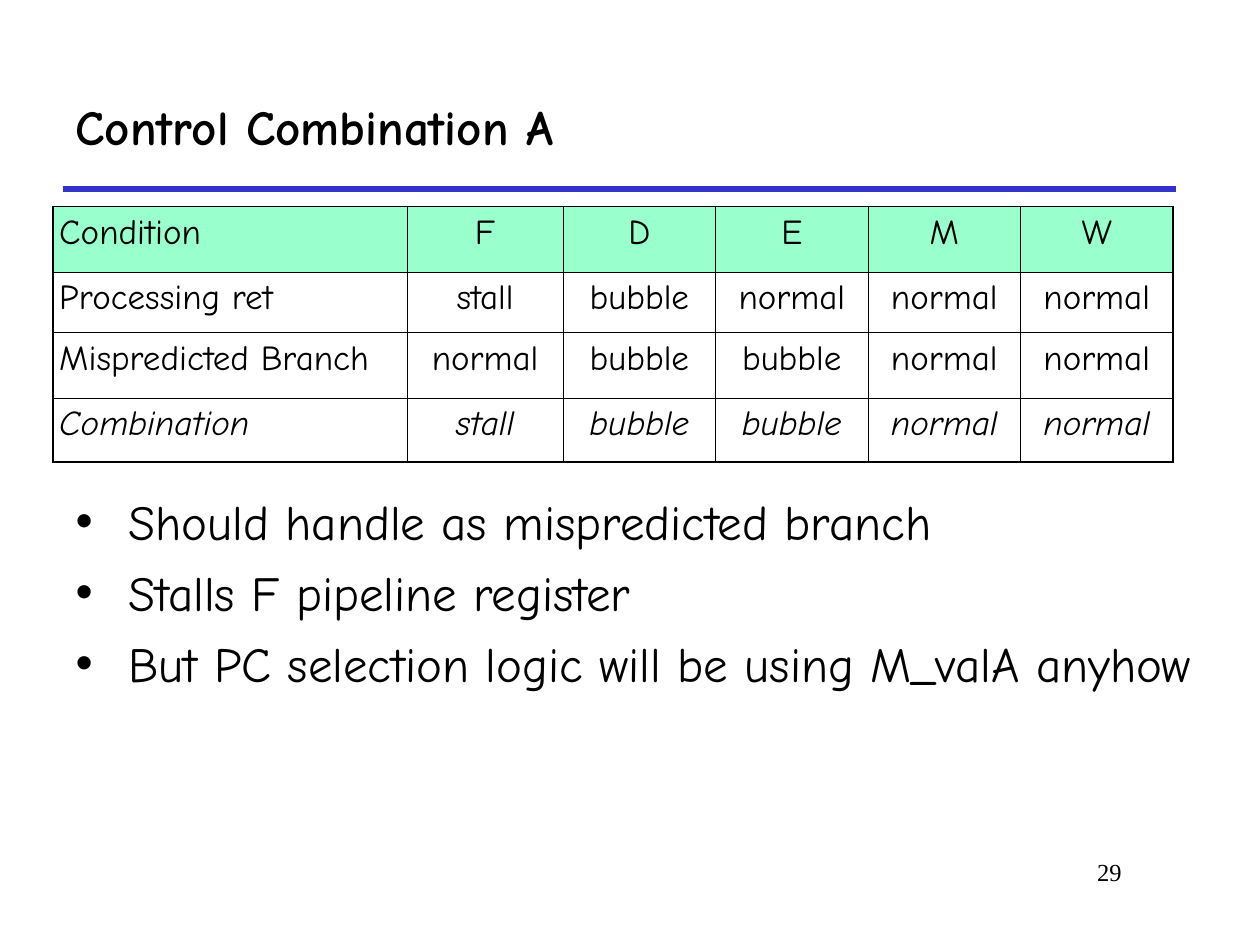
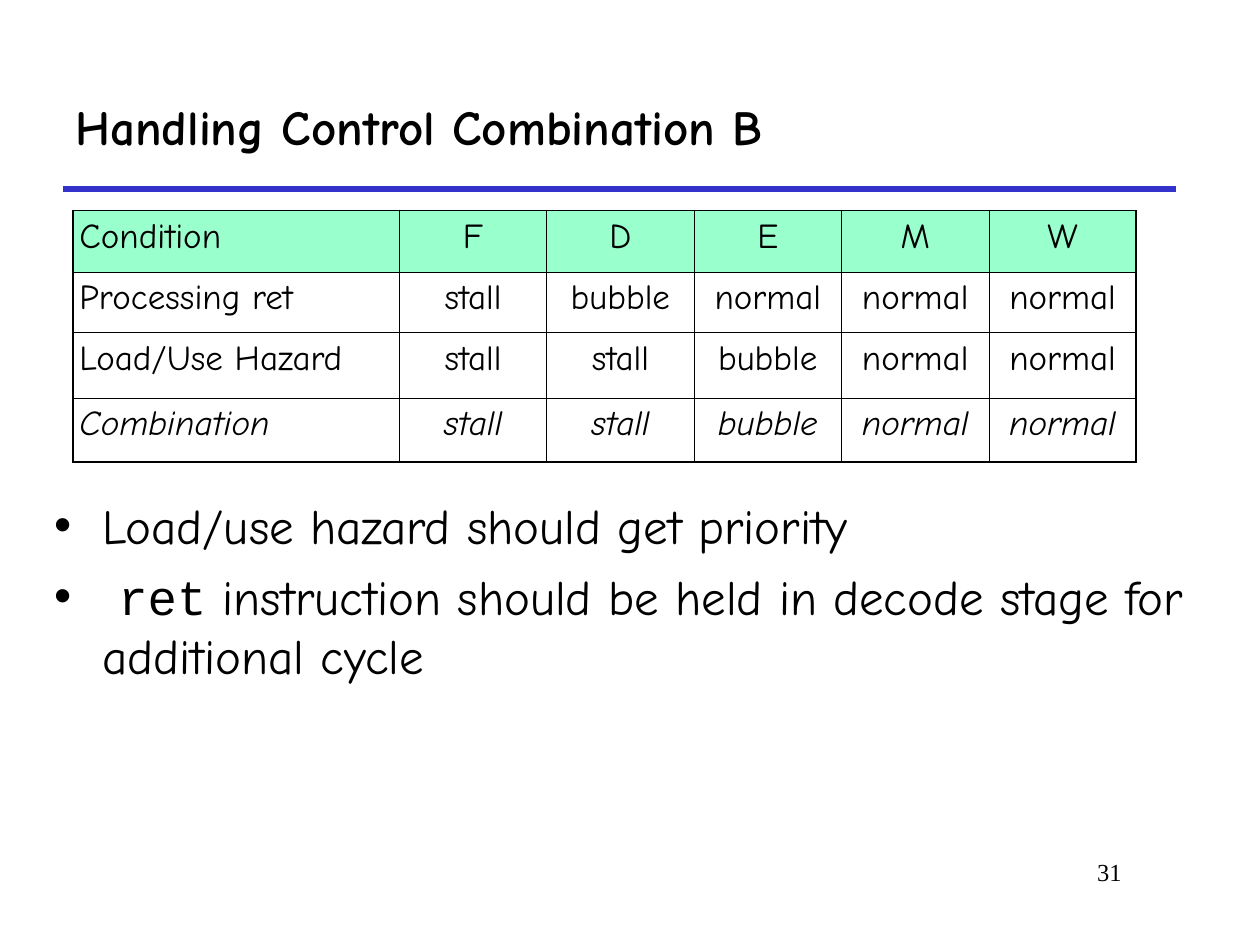
from lxml.etree import SubElement
from pptx import Presentation
from pptx.dml.color import RGBColor
from pptx.enum.shapes import MSO_CONNECTOR
from pptx.enum.text import MSO_ANCHOR, MSO_AUTO_SIZE, PP_ALIGN
from pptx.oxml.ns import qn
from pptx.util import Inches, Pt

BLACK, RULE_BLUE, HEADER_GREEN = "000000", "3333CC", "99FFCC"
TEXT_FONT, CODE_FONT, NUMBER_FONT = "Comic Neue", "Courier New", "Times New Roman"
OUTER_BORDER, INNER_BORDER = 1.08, 0.45
TITLE_BOX = (0.5, 0.5, 8.83, 1)
NUMBER_BOX = (7.58, 6.75, 1.42, 0.5)
RULE_LEFT, RULE_RIGHT, RULE_TOP = 0.5, 9.33, 1.5

HEADER = ["Condition", "F", "D", "E", "M", "W"]
PROCESSING_RET = ["Processing ret", "stall", "bubble", "normal", "normal", "normal"]

SLIDES = [
    {
        "title": "Control Combination A",
        "number": "29",
        "table": [
            HEADER,
            PROCESSING_RET,
            ["Mispredicted Branch", "normal", "bubble", "bubble", "normal", "normal"],
            ["Combination", "stall", "bubble", "bubble", "normal", "normal"],
        ],
        "table_at": (0.42, 1.64),
        "columns": [2.81, 1.24] + [1.21] * 4,
        "rows": [0.52, 0.48, 0.52, 0.51],
        "bullets": [
            ["Should handle as mispredicted branch"],
            ["Stalls F pipeline register"],
            ["But PC selection logic will be using M_valA anyhow"],
        ],
        "body_box": (0.5, 3.85, 9.2, 3.05),
        "indent": 0.42,
    },
    {
        "title": "Handling Control Combination B",
        "number": "31",
        "table": [
            HEADER,
            PROCESSING_RET,
            ["Load/Use Hazard", "stall", "stall", "bubble", "normal", "normal"],
            ["Combination", "stall", "stall", "bubble", "normal", "normal"],
        ],
        "table_at": (0.58, 1.67),
        "columns": [2.59] + [1.17] * 5,
        "rows": [0.49, 0.48, 0.52, 0.51],
        "bullets": [
            ["Load/use hazard should get priority"],
            [" ", "ret", " instruction should be held in decode stage for additional cycle"],
        ],
        "body_box": (0.33, 3.88, 9.2, 2.29),
        "indent": 0.38,
    },
]
CODE_WORDS = {"ret"}


def color(value):
    return RGBColor.from_string(value)


def style(paragraph, size, name=TEXT_FONT, bold=False, italic=False, align=PP_ALIGN.LEFT):
    paragraph.alignment = align
    font = paragraph.font
    font.size, font.name, font.bold, font.italic = Pt(size), name, bold, italic
    font.color.rgb = color(BLACK)


def place(shape, box):
    shape.left, shape.top, shape.width, shape.height = map(Inches, box)
    shape.text_frame.word_wrap = True
    shape.text_frame.auto_size = MSO_AUTO_SIZE.NONE


def add_rule(slide):
    rule = slide.shapes.add_connector(
        MSO_CONNECTOR.STRAIGHT,
        Inches(RULE_LEFT), Inches(RULE_TOP), Inches(RULE_RIGHT), Inches(RULE_TOP),
    )
    rule.line.color.rgb = color(RULE_BLUE)
    rule.line.width = Pt(3)
    SubElement(rule._element.spPr, qn("a:effectLst"))


def add_title(slide, text):
    title = slide.shapes.title
    place(title, TITLE_BOX)
    title.text_frame.vertical_anchor = MSO_ANCHOR.MIDDLE
    title.text_frame.text = text
    style(title.text_frame.paragraphs[0], 28, bold=True)


def add_number(slide, text):
    number = slide.shapes.add_textbox(*map(Inches, NUMBER_BOX))
    number.text_frame.word_wrap = True
    number.text_frame.text = text
    style(number.text_frame.paragraphs[0], 14, NUMBER_FONT, align=PP_ALIGN.RIGHT)


def add_bullets(slide, bullets, box, indent):
    body = slide.placeholders[1]
    place(body, box)
    frame = body.text_frame
    for index, pieces in enumerate(bullets):
        paragraph = frame.paragraphs[0] if index == 0 else frame.add_paragraph()
        properties = paragraph._p.get_or_add_pPr()
        properties.set("marL", str(Inches(indent)))
        properties.set("indent", str(-Inches(indent)))
        paragraph.space_before = Pt(7 if index else 0)
        style(paragraph, 28)
        for piece in pieces:
            run = paragraph.add_run()
            run.text = piece
            if piece in CODE_WORDS:
                run.font.name = CODE_FONT


def set_borders(cell, outer_sides):
    properties = cell._tc.get_or_add_tcPr()
    for index, side in enumerate("LRTB"):
        width = OUTER_BORDER if side in outer_sides else INNER_BORDER
        line = properties.makeelement(qn(f"a:ln{side}"), {"w": str(Pt(width))})
        fill = SubElement(line, qn("a:solidFill"))
        SubElement(fill, qn("a:srgbClr"), val=BLACK)
        properties.insert(index, line)


def add_conditions(slide, data, position, columns, rows):
    box = (*position, sum(columns), sum(rows))
    table = slide.shapes.add_table(len(rows), len(columns), *map(Inches, box)).table
    table.first_row = table.horz_banding = False
    for column, width in zip(table.columns, columns):
        column.width = Inches(width)
    last_row, last_column = len(rows) - 1, len(columns) - 1
    for r, (row, height) in enumerate(zip(data, rows)):
        table.rows[r].height = Inches(height)
        for c, text in enumerate(row):
            cell = table.cell(r, c)
            cell.margin_left = cell.margin_right = Inches(0.05)
            cell.margin_top = cell.margin_bottom = Inches(0.05)
            cell.text = text
            style(cell.text_frame.paragraphs[0], 20, italic=r == last_row,
                  align=PP_ALIGN.CENTER if c else PP_ALIGN.LEFT)
            if r == 0:
                cell.fill.solid()
                cell.fill.fore_color.rgb = color(HEADER_GREEN)
            else:
                cell.fill.background()
            edges = {"L": c == 0, "R": c == last_column, "T": r == 0, "B": r == last_row}
            set_borders(cell, {side for side, outer in edges.items() if outer})


def main():
    presentation = Presentation()
    presentation.slide_width, presentation.slide_height = Inches(10), Inches(7.5)
    for content in SLIDES:
        slide = presentation.slides.add_slide(presentation.slide_layouts[1])
        add_rule(slide)
        add_number(slide, content["number"])
        add_title(slide, content["title"])
        add_bullets(slide, content["bullets"], content["body_box"], content["indent"])
        add_conditions(slide, content["table"], content["table_at"],
                       content["columns"], content["rows"])
    presentation.save("out.pptx")


if __name__ == "__main__":
    main()
